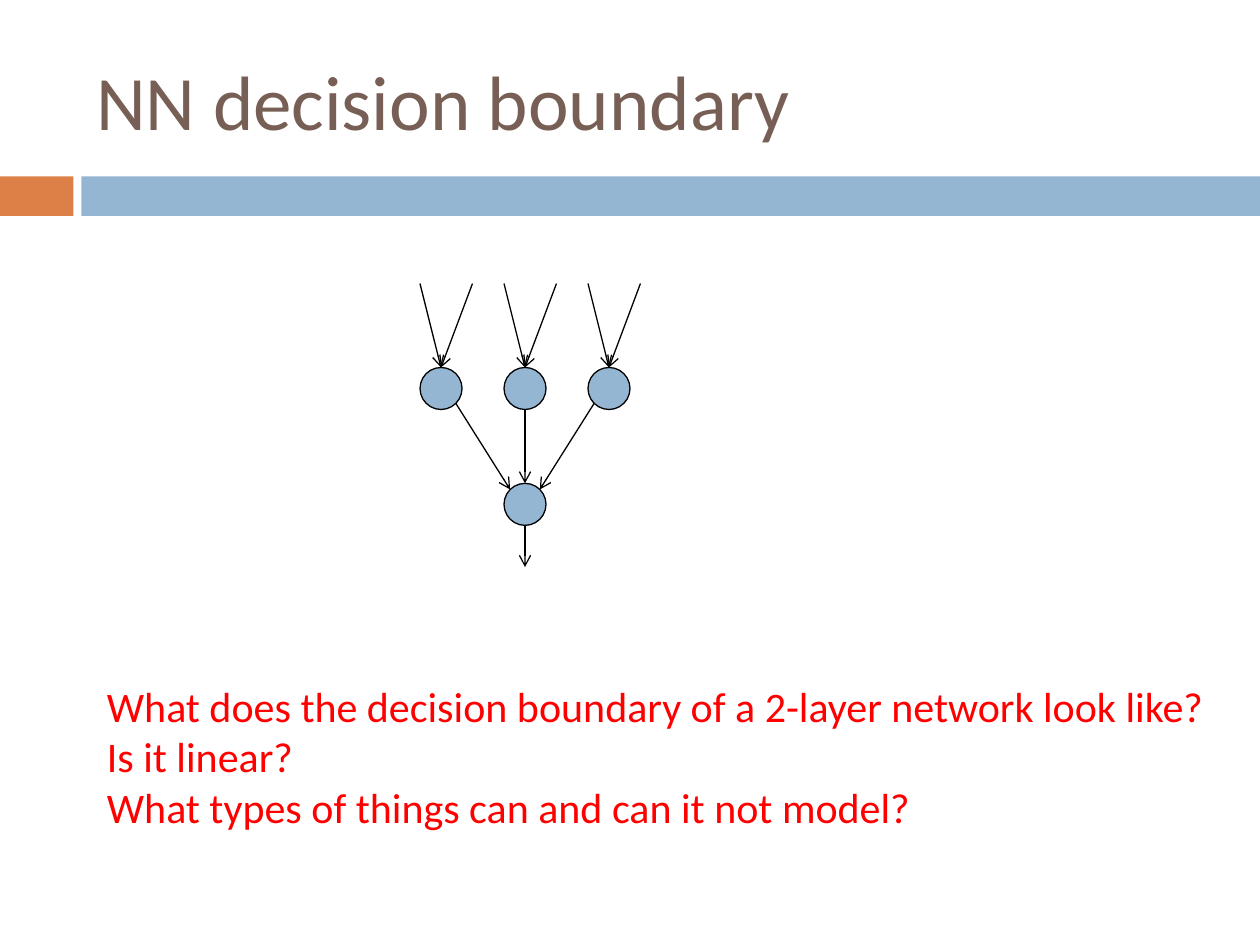
from math import sqrt

from lxml import etree
from pptx import Presentation
from pptx.dml.color import RGBColor
from pptx.enum.shapes import MSO_CONNECTOR, MSO_SHAPE
from pptx.enum.text import MSO_ANCHOR
from pptx.oxml.ns import qn
from pptx.util import Pt

RECTANGLE, OVAL = MSO_SHAPE.RECTANGLE, MSO_SHAPE.OVAL
STRAIGHT = MSO_CONNECTOR.STRAIGHT
TOP, MIDDLE = MSO_ANCHOR.TOP, MSO_ANCHOR.MIDDLE

TITLE = ["NN decision boundary"]
QUESTIONS = [
    "What does the decision boundary of a 2-layer network look like?",
    "Is it linear?",
    "What types of things can and can it not model?",
]
THEME = {
    "font": "Calibri", "title_size": 44, "question_size": 24, "line_width": 0.75,
    "title": "775F55", "question": "FF0000", "accent": "DD8047",
    "blue": "94B6D2", "line": "000000",
}
BANDS = [("accent", 0, 42), ("blue", 46.5, 673.5)]
BAND_TOP, BAND_HEIGHT = 100.8, 22.6

RADIUS = 12
HIDDEN_X = [252 + 48 * i for i in range(3)]
HIDDEN_Y = 222
OUTPUT_X, OUTPUT_Y = HIDDEN_X[1], 288.2
INPUT_Y, INPUT_OFFSETS = 162, (-12, 18)
EXIT_Y = 324


def color(key):
    return RGBColor.from_string(THEME[key])


def add_block(slide, kind, left, top, width, height, fill, outlined=False):
    block = slide.shapes.add_shape(kind, Pt(left), Pt(top), Pt(width), Pt(height))
    block.shadow.inherit = False
    block.fill.solid()
    block.fill.fore_color.rgb = color(fill)
    if outlined:
        block.line.color.rgb = color("line")
        block.line.width = Pt(THEME["line_width"])
    else:
        block.line.fill.background()


def add_neuron(slide, x, y):
    add_block(slide, OVAL, x - RADIUS, y - RADIUS, 2 * RADIUS, 2 * RADIUS, "blue", True)


def add_arrow(slide, x1, y1, x2, y2):
    arrow = slide.shapes.add_connector(STRAIGHT, Pt(x1), Pt(y1), Pt(x2), Pt(y2))
    arrow.line.color.rgb = color("line")
    arrow.line.width = Pt(THEME["line_width"])
    etree.SubElement(arrow.line._get_or_add_ln(), qn("a:tailEnd"), type="arrow")
    etree.SubElement(arrow._element.spPr, qn("a:effectLst"))


def add_text(slide, lines, left, top, width, height, style, anchor, wrap):
    frame = slide.shapes.add_textbox(Pt(left), Pt(top), Pt(width), Pt(height)).text_frame
    frame.word_wrap = wrap
    frame.vertical_anchor = anchor
    frame.text = "\n".join(lines)
    for paragraph in frame.paragraphs:
        for run in paragraph.runs:
            run.font.name = THEME["font"]
            run.font.size = Pt(THEME[style + "_size"])
            run.font.color.rgb = color(style)


def add_network(slide):
    for x in HIDDEN_X:
        add_neuron(slide, x, HIDDEN_Y)
    add_neuron(slide, OUTPUT_X, OUTPUT_Y)
    for x in HIDDEN_X:
        side = (OUTPUT_X > x) - (OUTPUT_X < x)
        reach = RADIUS / sqrt(2) if side else RADIUS
        add_arrow(slide, x + side * reach, HIDDEN_Y + reach,
                  OUTPUT_X - side * reach, OUTPUT_Y - reach)
        for offset in INPUT_OFFSETS:
            add_arrow(slide, x + offset, INPUT_Y, x, HIDDEN_Y - RADIUS)
    add_arrow(slide, OUTPUT_X, OUTPUT_Y + RADIUS, OUTPUT_X, EXIT_Y)


def main():
    deck = Presentation()
    deck.slide_width, deck.slide_height = Pt(720), Pt(540)
    slide = deck.slides.add_slide(deck.slide_layouts[6])
    for fill, left, width in BANDS:
        add_block(slide, RECTANGLE, left, BAND_TOP, width, BAND_HEIGHT, fill)
    add_text(slide, TITLE, 48, 18, 642, 78, "title", MIDDLE, True)
    add_network(slide)
    add_text(slide, QUESTIONS, 54, 385.2, 645, 94.5, "question", TOP, False)
    deck.save("out.pptx")


if __name__ == "__main__":
    main()
